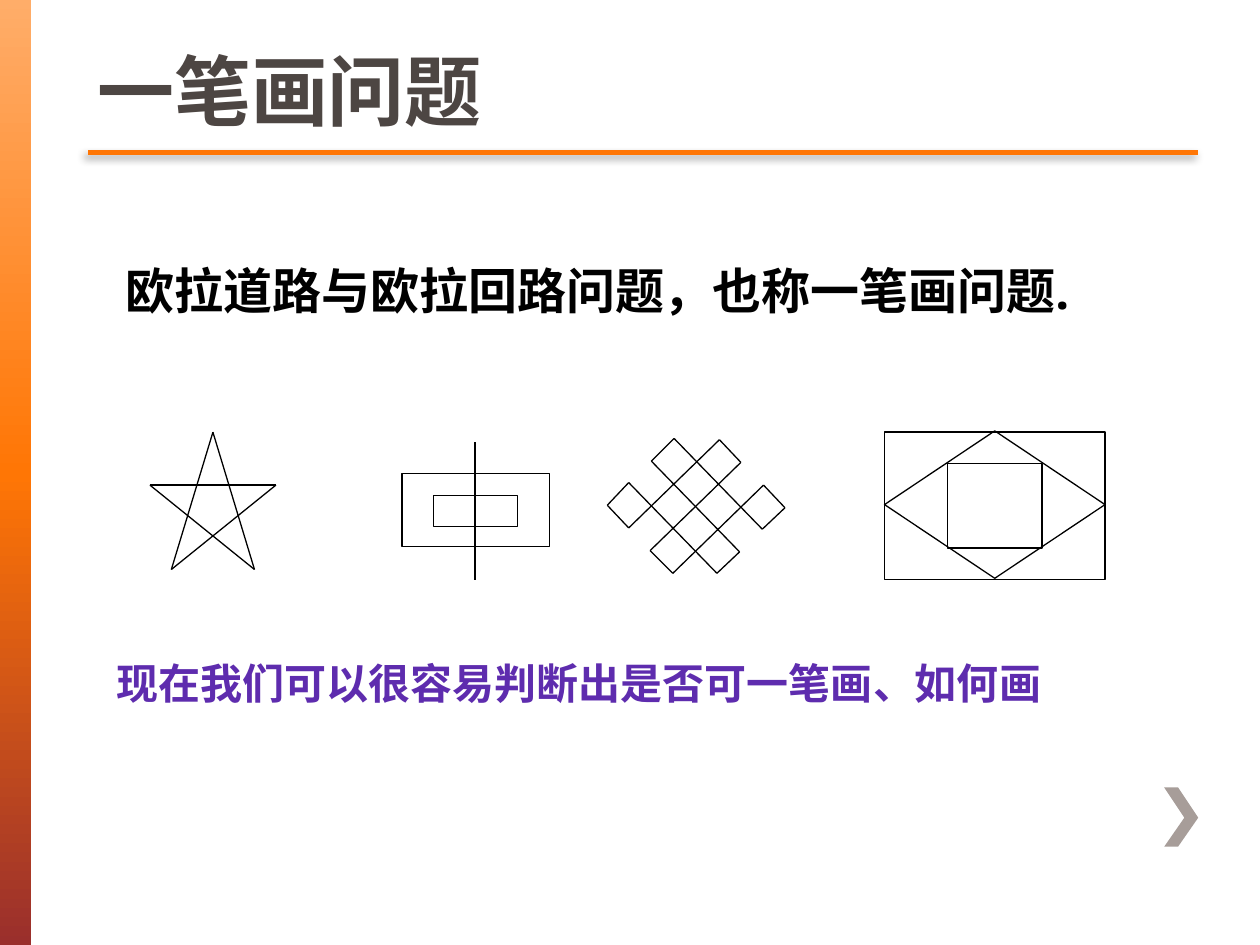
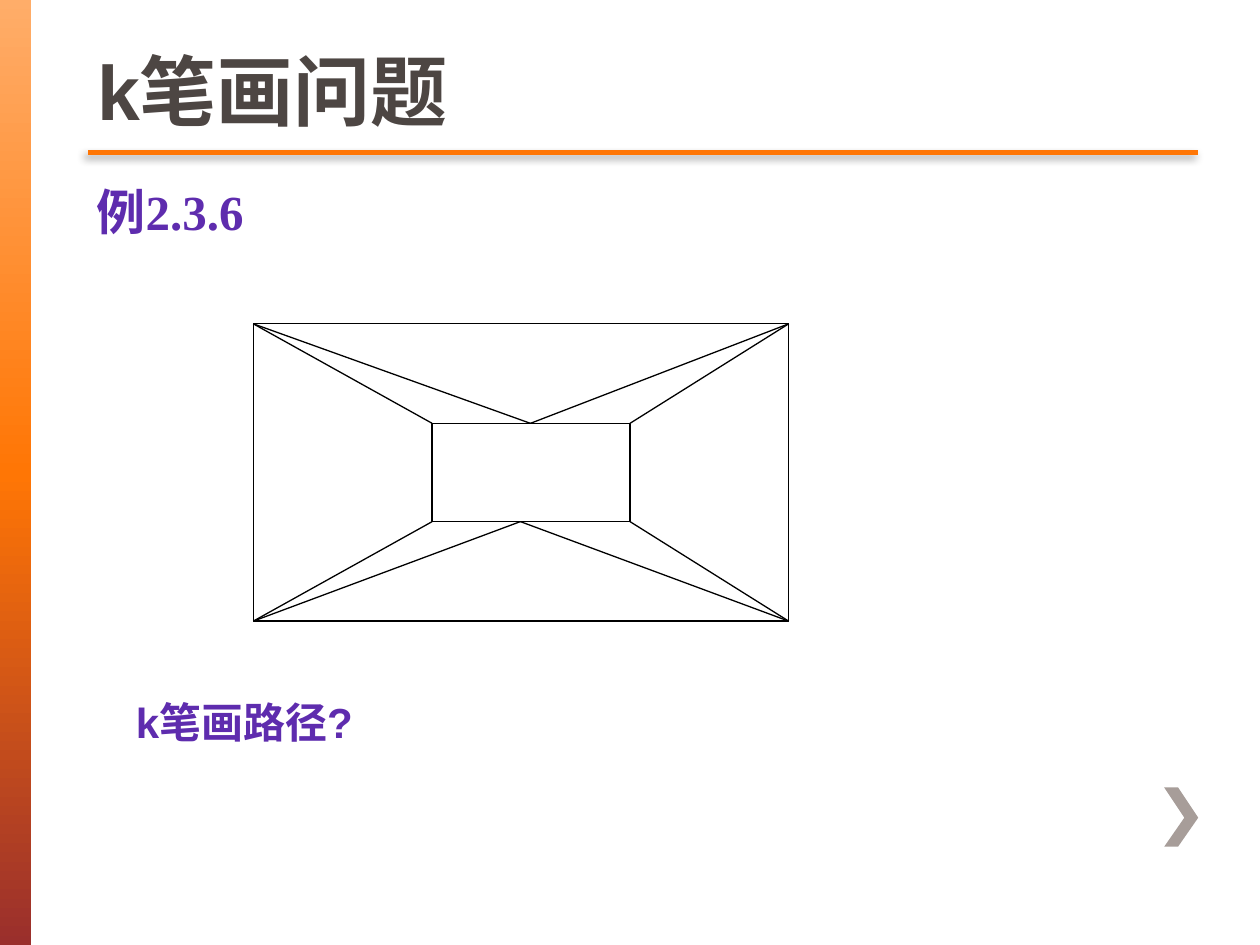
"""Build two slides on drawing figures in one or in k strokes."""
from itertools import pairwise

from lxml import etree
from pptx import Presentation
from pptx.dml.color import RGBColor
from pptx.enum.shapes import MSO_CONNECTOR as Connector, MSO_SHAPE as Shape
from pptx.enum.text import MSO_ANCHOR as Anchor, MSO_AUTO_SIZE as AutoSize, PP_ALIGN as Align
from pptx.oxml import parse_xml
from pptx.oxml.ns import nsdecls, qn
from pptx.util import Inches, Pt

COLUMNS, ROWS = 100, 75
ORANGE, BLACK, PURPLE = "FF7605", "000000", "5E2CAE"
TITLE, TITLE_EDGE, ARROW = "4D4643", "675D59", "A79D99"
BAND_STOPS = [(0, "FFAD69"), (50, ORANGE), (100, "9A2F2C")]


def color(value):
    """Turn a hex string into a colour."""
    return RGBColor.from_string(value)


class SlideBuilder:
    """Hold the deck, its grid and style, and the current slide."""

    def __init__(self):
        """Start a deck of 10 by 7.5 inches."""
        self.deck = Presentation()
        self.deck.slide_width, self.deck.slide_height = Inches(10), Inches(7.5)
        self.column = self.deck.slide_width / COLUMNS
        self.row = self.deck.slide_height / ROWS
        self.slide = None

    def place(self, *lengths):
        """Turn alternating columns and rows into slide lengths."""
        return [round(length * (self.row if index % 2 else self.column))
                for index, length in enumerate(lengths)]

    def start(self, title):
        """Add a slide with its band, arrow, rule and title."""
        self.slide = self.deck.slides.add_slide(self.deck.slide_layouts[5])
        self.band()
        self.arrow()
        self.line((7, 12.1), (95.1, 12.1), ORANGE, 2.5, shadow=True)
        box = self.slide.shapes.title
        box.left, box.top, box.width, box.height = self.place(6.7, 0, 88.1, 11.3)
        box.text_frame.vertical_anchor = Anchor.BOTTOM
        box.text_frame.auto_size = AutoSize.NONE
        span = self.set_text(box, title, 44, TITLE)
        span._r.get_or_add_rPr().insert(0, parse_xml(
            f'<a:ln {nsdecls("a")} w="12700"><a:solidFill>'
            f'<a:srgbClr val="{TITLE_EDGE}"/></a:solidFill></a:ln>'))

    def band(self):
        """Draw the gradient band on the left edge."""
        band = self.shape(Shape.RECTANGLE, 0, 0, 2.5, ROWS)
        band.line.fill.background()
        band.fill.gradient()
        gradient = band._element.spPr.find(qn("a:gradFill"))
        stops = "".join(f'<a:gs pos="{share * 1000}"><a:srgbClr val="{value}"/></a:gs>'
                        for share, value in BAND_STOPS)
        gradient.getparent().replace(gradient, parse_xml(
            f'<a:gradFill {nsdecls("a")}><a:gsLst>{stops}</a:gsLst>'
            '<a:lin ang="5400000" scaled="0"/></a:gradFill>'))

    def arrow(self):
        """Draw the chevron in the lower right corner."""
        points = [(93.5, 62.5), (92.4, 62.5), (94, 64.9), (92.4, 67.2), (93.5, 67.2), (95.1, 64.9)]
        first, *others = [self.place(*point) for point in points]
        outline = self.slide.shapes.build_freeform(*first)
        outline.add_line_segments(others, close=True)
        arrow = outline.convert_to_shape()
        arrow.shadow.inherit = False
        arrow.fill.solid()
        arrow.fill.fore_color.rgb = color(ARROW)
        arrow.line.fill.background()

    def shape(self, kind, *area):
        """Draw an unfilled preset shape with a thin black outline."""
        shape = self.slide.shapes.add_shape(kind, *self.place(*area))
        shape.shadow.inherit = False
        shape.fill.background()
        shape.line.color.rgb = color(BLACK)
        shape.line.width = Pt(0.75)
        return shape

    def line(self, start, end, value=BLACK, width=0.75, shadow=False):
        """Draw a straight line between two grid points."""
        line = self.slide.shapes.add_connector(Connector.STRAIGHT, *self.place(*start, *end))
        line.line.color.rgb = color(value)
        line.line.width = Pt(width)
        effects = etree.SubElement(line._element.spPr, qn("a:effectLst"))
        if shadow:
            effects.append(parse_xml(
                f'<a:outerShdw {nsdecls("a")} blurRad="63500" dist="38100" dir="8100000">'
                f'<a:srgbClr val="{BLACK}"><a:alpha val="45000"/></a:srgbClr></a:outerShdw>'))

    def stroke(self, points):
        """Draw a closed figure as one stroke through the points."""
        for start, end in pairwise([*points, points[0]]):
            self.line(start, end)

    def text(self, words, area, size, value=PURPLE, font="Arial"):
        """Add a bold wrapped text box."""
        box = self.slide.shapes.add_textbox(*self.place(*area))
        box.text_frame.word_wrap = True
        box.text_frame.auto_size = AutoSize.SHAPE_TO_FIT_TEXT
        self.set_text(box, words, size, value, font)

    def set_text(self, box, words, size, value, font="Arial"):
        """Set one bold left-aligned paragraph and return its run."""
        box.text_frame.text = words
        para = box.text_frame.paragraphs[0]
        para.alignment = Align.LEFT
        span = para.runs[0]
        span.font.size, span.font.bold, span.font.name = Pt(size), True, font
        span.font.color.rgb = color(value)
        return span


def one_stroke_slide(builder):
    """Show four figures to be drawn in one stroke."""
    builder.start("一笔画问题")
    star = [(11.9, 38.5), (21.9, 38.5), (13.6, 45.2), (16.9, 34.3), (20.2, 45.2)]
    knot = [(49.9, 41.9), (57.1, 34.9), (58.8, 36.7), (51.6, 43.7), (53.4, 45.5),
            (60.6, 38.5), (62.3, 40.3), (60.5, 42), (53.5, 34.8), (51.7, 36.6),
            (58.7, 43.8), (56.9, 45.5), (49.9, 38.3), (48.2, 40.1)]
    builder.stroke(star)
    builder.shape(Shape.RECTANGLE, 31.9, 37.6, 11.7, 5.8)
    builder.shape(Shape.RECTANGLE, 34.4, 39.3, 6.7, 2.5)
    builder.line((37.7, 35.1), (37.7, 46))
    builder.stroke(knot)
    builder.shape(Shape.RECTANGLE, 70.2, 34.3, 17.5, 11.7)
    builder.shape(Shape.FLOWCHART_DECISION, 70.2, 34.2, 17.5, 11.7)
    builder.shape(Shape.RECTANGLE, 75.2, 36.8, 7.5, 6.7)
    builder.text("欧拉道路与欧拉回路问题，也称一笔画问题.", (9, 20.2, 79.3, 5.7), 28, BLACK, "Noto Sans")
    builder.text("现在我们可以很容易判断出是否可一笔画、如何画", (8.3, 51.7, 81.9, 5), 24)


def k_stroke_slide(builder):
    """Show the framed rectangle that needs k strokes."""
    builder.start("k笔画问题")
    left, right, inner_left, inner_right = 20.1, 62.6, 34.3, 50
    top, bottom, inner_top, inner_bottom = 25.7, 49.3, 33.6, 41.4
    builder.shape(Shape.RECTANGLE, left, top, right - left, bottom - top)
    builder.shape(Shape.RECTANGLE, inner_left, inner_top,
                  inner_right - inner_left, inner_bottom - inner_top)
    for outer_row, inner_row, middle in ((top, inner_top, 42.1), (bottom, inner_bottom, 41.3)):
        for outer, inner in ((left, inner_left), (right, inner_right)):
            for target in (inner, middle):
                builder.line((outer, outer_row), (target, inner_row))
    builder.text("例2.3.6", (6.7, 13.9, 83.6, 5.7), 28, font="Times New Roman")
    builder.text("k笔画路径?", (9.8, 54.8, 39.4, 5), 24)


builder = SlideBuilder()
one_stroke_slide(builder)
k_stroke_slide(builder)
builder.deck.save("out.pptx")
